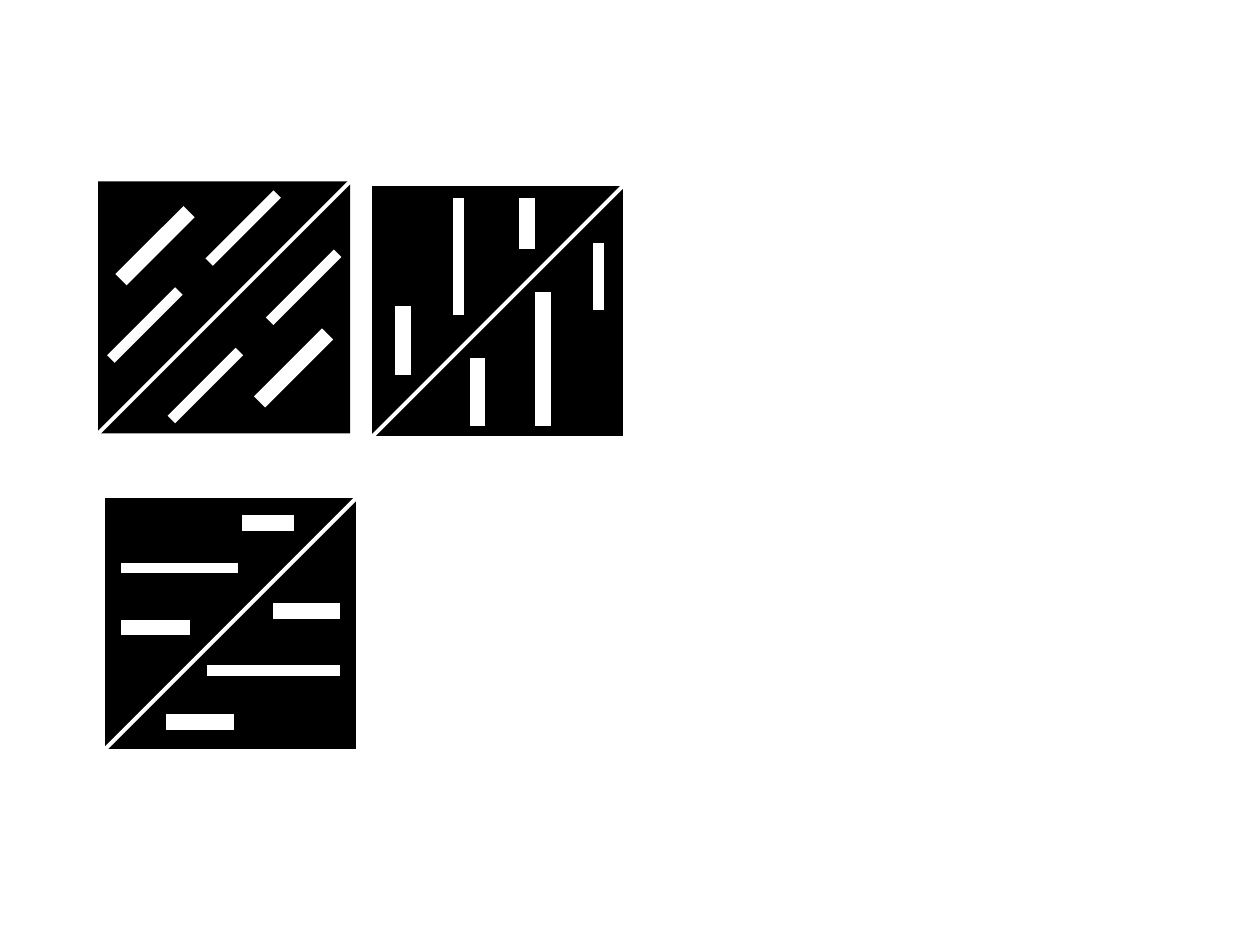
from pptx import Presentation
from pptx.dml.color import RGBColor
from pptx.enum.shapes import MSO_CONNECTOR, MSO_SHAPE
from pptx.oxml.ns import qn
from pptx.util import Inches, Pt
from lxml import etree

RECT = MSO_SHAPE.RECTANGLE
STRAIGHT = MSO_CONNECTOR.STRAIGHT
BLACK, WHITE = "000000", "FFFFFF"
SIDE = 2
THIN, THICK = 6, 9
RISING, DOWN, ACROSS = (1, -1), (0, 1), (1, 0)

DIAGONAL_BARS = [
    (1.36, 1.11, 0.54, THIN), (0.58, 1.89, 0.54, THIN), (1.28, 1.75, 0.54, THICK),
    (0.10, 1.41, 0.54, THIN), (0.88, 0.64, 0.54, THIN), (0.18, 0.78, 0.54, THICK),
]
VERTICAL_BARS = [
    (0.25, 0.96, 0.55, THICK), (0.69, 0.10, 0.93, THIN), (1.23, 0.10, 0.41, THICK),
    (0.84, 1.37, 0.54, THICK), (1.36, 0.85, 1.06, THICK), (1.80, 0.46, 0.53, THIN),
]
HORIZONTAL_BARS = [
    (0.13, 1.03, 0.55, THICK), (0.13, 0.56, 0.93, THIN), (1.09, 0.20, 0.41, THICK),
    (0.49, 1.78, 0.54, THICK), (0.81, 1.37, 1.06, THIN), (1.34, 0.90, 0.53, THICK),
]


def color(hex_value):
    """Turn a hex string into a colour."""
    return RGBColor.from_string(hex_value)


def add_bar(shapes, x, y, length, weight, direction):
    """Draw a white line of the given run from a start point."""
    dx, dy = direction
    line = shapes.add_connector(
        STRAIGHT, Inches(x), Inches(y),
        Inches(x + dx * length), Inches(y + dy * length))
    line.line.color.rgb = color(WHITE)
    line.line.width = Pt(weight)
    etree.SubElement(line._element.spPr, qn("a:effectLst"))


def add_tile(slide, left, top, bars, direction, outlined=True):
    """Draw a black square split by a rising diagonal, with bars on both halves."""
    shapes = slide.shapes.add_group_shape().shapes
    sp = shapes.add_shape(RECT, Inches(left), Inches(top), Inches(SIDE), Inches(SIDE))
    sp.shadow.inherit = False
    sp.fill.solid()
    sp.fill.fore_color.rgb = color(BLACK)
    if outlined:
        sp.line.color.rgb = color(WHITE)
        sp.line.width = Pt(0.75)
    else:
        sp.line.fill.background()
    add_bar(shapes, left, top + SIDE, SIDE, 2.25, RISING)
    for x, y, length, weight in bars:
        add_bar(shapes, left + x, top + y, length, weight, direction)


def main():
    """Build the slide with its three tiles."""
    prs = Presentation()
    prs.slide_width, prs.slide_height = Inches(10), Inches(7.5)
    slide = prs.slides.add_slide(prs.slide_layouts[6])
    add_tile(slide, 0.78, 1.44, DIAGONAL_BARS, RISING, outlined=False)
    add_tile(slide, 2.95, 1.47, VERTICAL_BARS, DOWN)
    add_tile(slide, 0.83, 3.95, HORIZONTAL_BARS, ACROSS)
    prs.save("out.pptx")


main()
